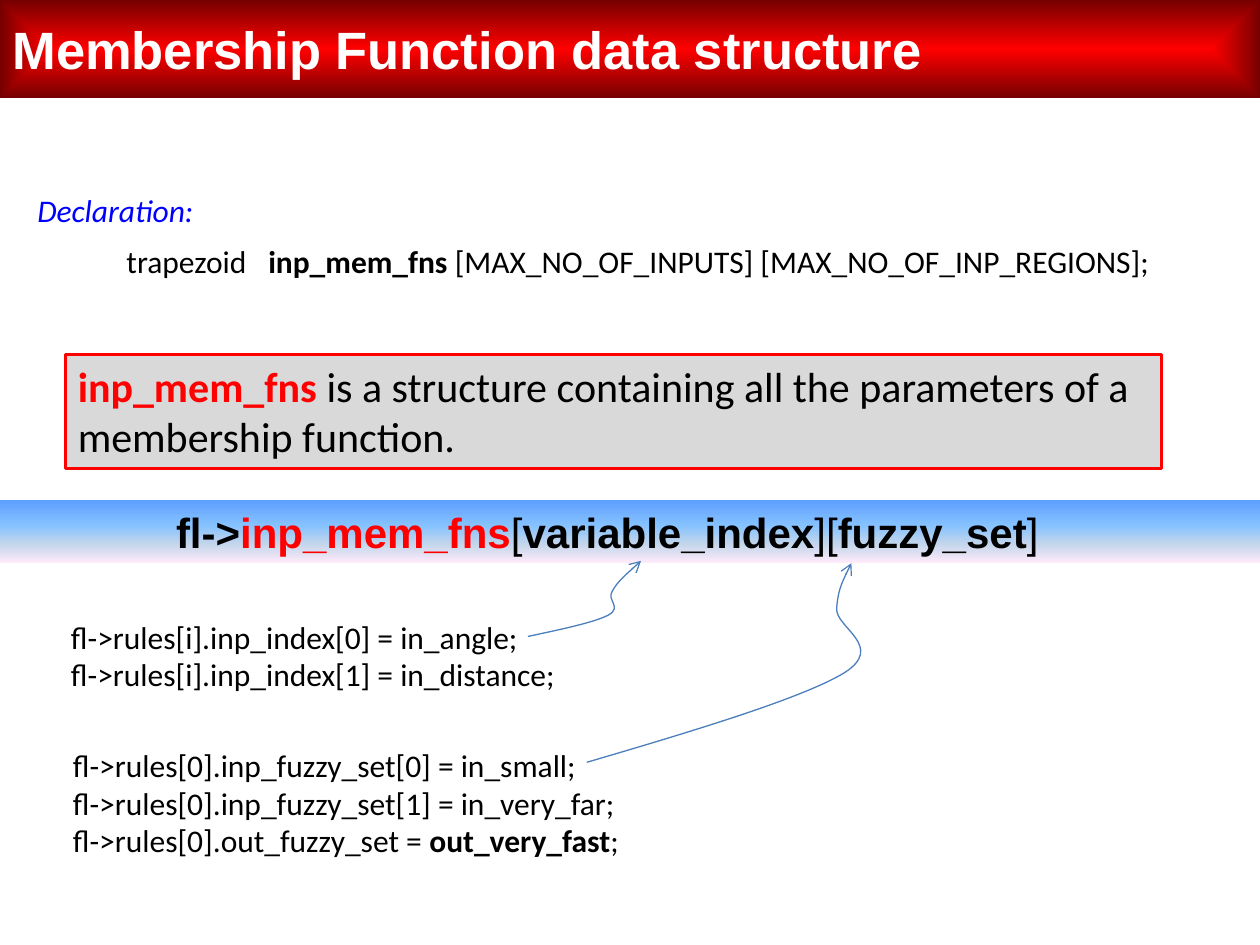
from dataclasses import dataclass

from lxml import etree
from pptx import Presentation
from pptx.dml.color import RGBColor
from pptx.enum.shapes import MSO_SHAPE
from pptx.enum.text import MSO_ANCHOR, PP_ALIGN
from pptx.oxml.ns import qn
from pptx.util import Pt

RECTANGLE = MSO_SHAPE.RECTANGLE
TOP, MIDDLE = MSO_ANCHOR.TOP, MSO_ANCHOR.MIDDLE
LEFT = PP_ALIGN.LEFT

BLACK = RGBColor(0x00, 0x00, 0x00)
WHITE = RGBColor(0xFF, 0xFF, 0xFF)
RED = RGBColor(0xFF, 0x00, 0x00)
DARK_RED = RGBColor(0x76, 0x00, 0x00)
BLUE = RGBColor(0x00, 0x00, 0xFF)
GREY = RGBColor(0xD9, 0xD9, 0xD9)
ARROW_BLUE = RGBColor(0x4B, 0x7E, 0xBC)
SKY_STOPS = (
    (0, RGBColor(0x5E, 0x9E, 0xFF)),
    (40, RGBColor(0x85, 0xC2, 0xFF)),
    (70, RGBColor(0xC4, 0xD6, 0xEB)),
    (100, RGBColor(0xFF, 0xEB, 0xFA)),
)
TITLE_STOPS = ((0, RED), (100, DARK_RED))

BOLD = {"bold": True}
RED_BOLD = {"bold": True, "color": RED}
ARIAL = {"name": "Arial", "size": Pt(24), "color": BLACK}
CODE = {"name": "Calibri", "size": Pt(18), "color": BLACK}


@dataclass(frozen=True)
class Span:
    text: str
    format: dict


@dataclass(frozen=True)
class Block:
    bounds: tuple
    format: dict
    lines: tuple
    filled: bool = False
    inset: float = 7.2
    anchor: MSO_ANCHOR = TOP
    tab: float = 0


@dataclass(frozen=True)
class Curve:
    points: tuple
    arrow_end: str


TITLE = Block(
    (0, 0, 720, 56),
    {"name": "Arial", "size": Pt(30), "color": WHITE, "bold": True},
    ((Span("Membership Function data structure", {}),),),
    filled=True,
    anchor=MIDDLE,
)
ACCESS = Block(
    (0, 285.8, 720, 36),
    ARIAL,
    ((
        Span("fl->", BOLD),
        Span("inp_mem_fns", RED_BOLD),
        Span("[", {}),
        Span("variable_index", BOLD),
        Span("][", {}),
        Span("fuzzy_set", BOLD),
        Span("]", {}),
    ),),
    filled=True,
    inset=100.6,
)
SUMMARY = Block(
    (37.4, 202.3, 626.4, 65.4),
    {**CODE, "size": Pt(24)},
    (
        (Span("inp_mem_fns", RED_BOLD),
         Span(" is a structure containing all the parameters of a", {})),
        (Span("membership function.", {}),),
    ),
    filled=True,
)
TEXTS = (
    Block(
        (22.3, 422.6, 360, 72.7),
        CODE,
        (
            (Span("fl->rules[0].inp_fuzzy_set[0] = in_small;", {}),),
            (Span("fl->rules[0].inp_fuzzy_set[1] = in_very_far;", {}),),
            (Span("fl->rules[0].out_fuzzy_set = ", {}),
             Span("out_very_fast", BOLD), Span(";", {})),
        ),
        inset=19.4,
    ),
    Block(
        (33.5, 349.4, 360, 50.9),
        CODE,
        (
            (Span("fl->rules[i].inp_index[0] = in_angle;", {}),),
            (Span("fl->rules[i].inp_index[1] = in_distance;", {}),),
        ),
    ),
    Block(
        (65.2, 134.8, 630, 29),
        CODE,
        ((Span("trapezoid\t", {}), Span("inp_mem_fns", BOLD),
          Span(" [MAX_NO_OF_INPUTS] [MAX_NO_OF_INP_REGIONS];", {})),),
        tab=81,
    ),
    Block(
        (14.2, 105.8, 104.4, 29),
        {**CODE, "color": BLUE, "italic": True},
        ((Span("Declaration:", {}),),),
    ),
)
CURVES = (
    Curve(
        ((366.3, 320.5), (360, 326.2), (352.8, 332.6), (350, 337.7),
         (346.3, 342.7), (355.7, 347), (347.8, 351.4),
         (339.8, 355.7), (320.4, 359.7), (301.7, 363.7)),
        "headEnd",
    ),
    Curve(
        ((335.3, 435.6), (396.7, 417.6), (458.6, 398.9), (482.4, 384.5),
         (506.2, 369.4), (477.4, 358.6), (478.1, 347.8),
         (478.8, 337.7), (482.4, 329.8), (486.5, 321.8)),
        "tailEnd",
    ),
)


def apply_format(font, values: dict) -> None:
    """Set each font attribute from its value."""
    for key, value in values.items():
        if key == "color":
            font.color.rgb = value
        else:
            setattr(font, key, value)


def add_block(page, block: Block):
    """Draw a rectangle or text box with its styled lines."""
    bounds = [Pt(length) for length in block.bounds]
    if block.filled:
        box = page.shapes.add_shape(RECTANGLE, *bounds)
        box.shadow.inherit = False
        box.line.fill.background()
    else:
        box = page.shapes.add_textbox(*bounds)
    frame = box.text_frame
    layout = {"word_wrap": True, "vertical_anchor": block.anchor,
              "margin_left": Pt(block.inset)}
    for key, value in layout.items():
        setattr(frame, key, value)
    for index, line in enumerate(block.lines):
        para = frame.paragraphs[0] if index == 0 else frame.add_paragraph()
        para.alignment = LEFT
        if block.tab:
            tabs = etree.SubElement(para._p.get_or_add_pPr(), qn("a:tabLst"))
            etree.SubElement(tabs, qn("a:tab"), pos=str(Pt(block.tab)), algn="l")
        for span in line:
            run = para.add_run()
            run.text = span.text
            apply_format(run.font, {**block.format, **span.format})
    return box


def set_gradient(box, stops: tuple, centred: bool) -> None:
    """Fill a box with a gradient from its centre or from top to bottom."""
    box.fill.background()
    properties = box._element.spPr
    gradient = etree.Element(qn("a:gradFill"), rotWithShape="1")
    stop_list = etree.SubElement(gradient, qn("a:gsLst"))
    for percent, color in stops:
        stop = etree.SubElement(stop_list, qn("a:gs"), pos=str(percent * 1000))
        etree.SubElement(stop, qn("a:srgbClr"), val=str(color))
    if centred:
        shading = etree.SubElement(gradient, qn("a:path"), path="shape")
        sides = dict.fromkeys("ltrb", "50000")
        etree.SubElement(shading, qn("a:fillToRect"), sides)
    else:
        etree.SubElement(gradient, qn("a:lin"), ang="5400000", scaled="0")
    properties.replace(properties.find(qn("a:noFill")), gradient)


def add_curve(page, curve: Curve) -> None:
    """Draw a chain of cubic curves with an open arrowhead."""
    points = [(Pt(x), Pt(y)) for x, y in curve.points]
    builder = page.shapes.build_freeform(*points[0])
    builder.add_line_segments(points[1:], close=False)
    shape = builder.convert_to_shape()
    shape.shadow.inherit = False
    shape.fill.background()
    shape.line.color.rgb = ARROW_BLUE
    shape.line.width = Pt(0.75)
    segments = list(shape._element.iter(qn("a:lnTo")))
    outline = segments[0].getparent()
    for start in range(0, len(segments), 3):
        cubic = etree.SubElement(outline, qn("a:cubicBezTo"))
        for segment in segments[start:start + 3]:
            cubic.append(segment[0])
            outline.remove(segment)
    etree.SubElement(shape.line._get_or_add_ln(), qn(f"a:{curve.arrow_end}"), type="arrow")


def main() -> None:
    """Build the membership function slide."""
    deck = Presentation()
    deck.slide_width, deck.slide_height = Pt(720), Pt(540)
    page = deck.slides.add_slide(deck.slide_layouts[6])
    set_gradient(add_block(page, TITLE), TITLE_STOPS, centred=True)
    set_gradient(add_block(page, ACCESS), SKY_STOPS, centred=False)
    for curve in CURVES:
        add_curve(page, curve)
    summary = add_block(page, SUMMARY)
    summary.fill.solid()
    summary.fill.fore_color.rgb = GREY
    summary.line.color.rgb = RED
    summary.line.width = Pt(1.75)
    for block in TEXTS:
        add_block(page, block)
    deck.save("out.pptx")


if __name__ == "__main__":
    main()
